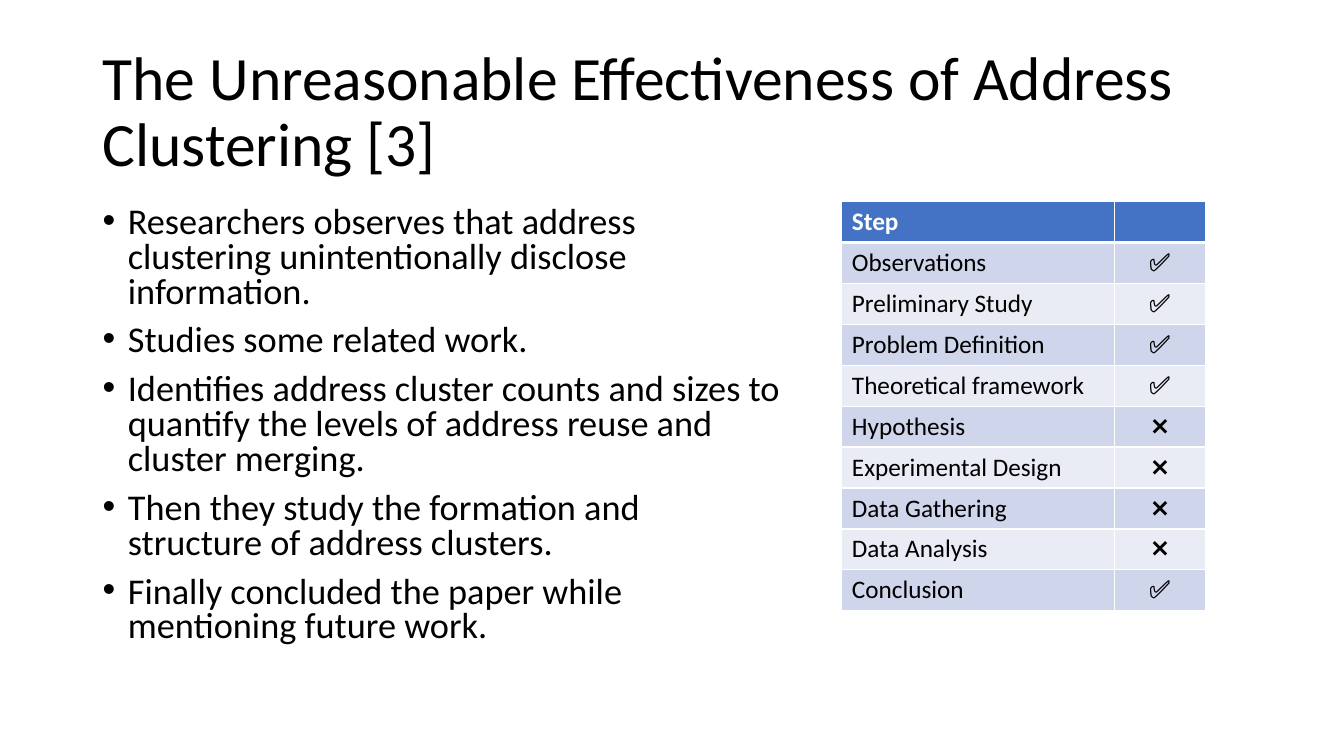
"""Build a slide that checks the address clustering paper against research steps."""
from lxml import etree
from pptx import Presentation
from pptx import util as u
from pptx.dml.color import RGBColor
from pptx.enum import text
from pptx.oxml import ns

TITLE = "The Unreasonable Effectiveness of Address Clustering [3]"
POINTS = [
    "Researchers observes that address clustering unintentionally disclose information.",
    "Studies some related work.",
    "Identifies address cluster counts and sizes to quantify the levels of address reuse "
    "and cluster merging.",
    "Then they study the formation and structure of address clusters. ",
    "Finally concluded the paper while mentioning future work.",
]
DONE, MISSING = "\u2705", "\u274c"
STEPS = [
    ("Step", ""),
    ("Observations", DONE),
    ("Preliminary Study", DONE),
    ("Problem Definition", DONE),
    ("Theoretical framework", DONE),
    ("Hypothesis", MISSING),
    ("Experimental Design", MISSING),
    ("Data Gathering", MISSING),
    ("Data Analysis", MISSING),
    ("Conclusion", DONE),
]

BLACK = RGBColor(0x00, 0x00, 0x00)
WHITE = RGBColor(0xFF, 0xFF, 0xFF)
HEADER_BLUE = RGBColor(0x44, 0x72, 0xC4)
BANDS = [RGBColor(0xE9, 0xEB, 0xF5), RGBColor(0xCF, 0xD5, 0xEA)]

COLUMN_WIDTHS = [2.7, 0.91]
ROW_HEIGHT = 0.406
TITLE_FORMAT = {"line_spacing": 0.9}
POINT_FORMAT = {"line_spacing": 0.8, "space_before": u.Pt(10)}


def set_values(target, values):
    for name, value in values.items():
        setattr(target, name, value)


def write(paragraph, words, size, color, bold=False, **layout):
    set_values(paragraph, layout)
    paragraph.text = words
    set_values(paragraph.font, {"name": "Calibri", "size": u.Pt(size), "bold": bold})
    paragraph.font.color.rgb = color


def add_text_frame(slide, box, anchor):
    frame = slide.shapes.add_textbox(*map(u.Inches, box)).text_frame
    set_values(frame, {"word_wrap": True, "vertical_anchor": anchor})
    return frame


def add_bullet(paragraph):
    properties = paragraph._p.get_or_add_pPr()
    properties.set("marL", str(u.Inches(0.25)))
    properties.set("indent", str(-u.Inches(0.25)))
    etree.SubElement(properties, ns.qn("a:buFont"), typeface="Arial")
    etree.SubElement(properties, ns.qn("a:buChar"), char="\u2022")


def add_borders(cell, widths):
    properties = cell._tc.get_or_add_tcPr()
    for side, width in widths.items():
        line = etree.SubElement(properties, ns.qn(f"a:ln{side}"), w=str(u.Pt(width)))
        fill = etree.SubElement(line, ns.qn("a:solidFill"))
        etree.SubElement(fill, ns.qn("a:srgbClr"), val=str(WHITE))


def add_step_table(slide):
    size = (sum(COLUMN_WIDTHS), ROW_HEIGHT * len(STEPS))
    table = slide.shapes.add_table(
        len(STEPS), len(COLUMN_WIDTHS), *map(u.Inches, (8.35, 2, *size))
    ).table
    for column, width in zip(table.columns, COLUMN_WIDTHS):
        column.width = u.Inches(width)
    for row_index, step in enumerate(STEPS):
        table.rows[row_index].height = u.Inches(ROW_HEIGHT)
        header = row_index == 0
        widths = {"L": 1, "R": 1, "T": 3 if row_index == 1 else 1, "B": 3 if header else 1}
        for column_index, words in enumerate(step):
            cell = table.cell(row_index, column_index)
            add_borders(cell, widths)
            cell.fill.solid()
            cell.fill.fore_color.rgb = HEADER_BLUE if header else BANDS[row_index % 2]
            alignment = text.PP_ALIGN.CENTER if column_index else text.PP_ALIGN.LEFT
            write(cell.text_frame.paragraphs[0], words, 18, WHITE if header else BLACK,
                  header, alignment=alignment)


presentation = Presentation()
set_values(presentation, {"slide_width": u.Inches(13.33), "slide_height": u.Inches(7.5)})
slide = presentation.slides.add_slide(presentation.slide_layouts[6])

title_frame = add_text_frame(slide, (0.92, 0.4, 11.5, 1.45), text.MSO_ANCHOR.MIDDLE)
write(title_frame.paragraphs[0], TITLE, 44, BLACK, **TITLE_FORMAT)

body_frame = add_text_frame(slide, (0.92, 2, 6.93, 4.76), text.MSO_ANCHOR.TOP)
for index, point in enumerate(POINTS):
    paragraph = body_frame.add_paragraph() if index else body_frame.paragraphs[0]
    write(paragraph, point, 25.9, BLACK, **POINT_FORMAT)
    add_bullet(paragraph)

add_step_table(slide)
presentation.save("out.pptx")
